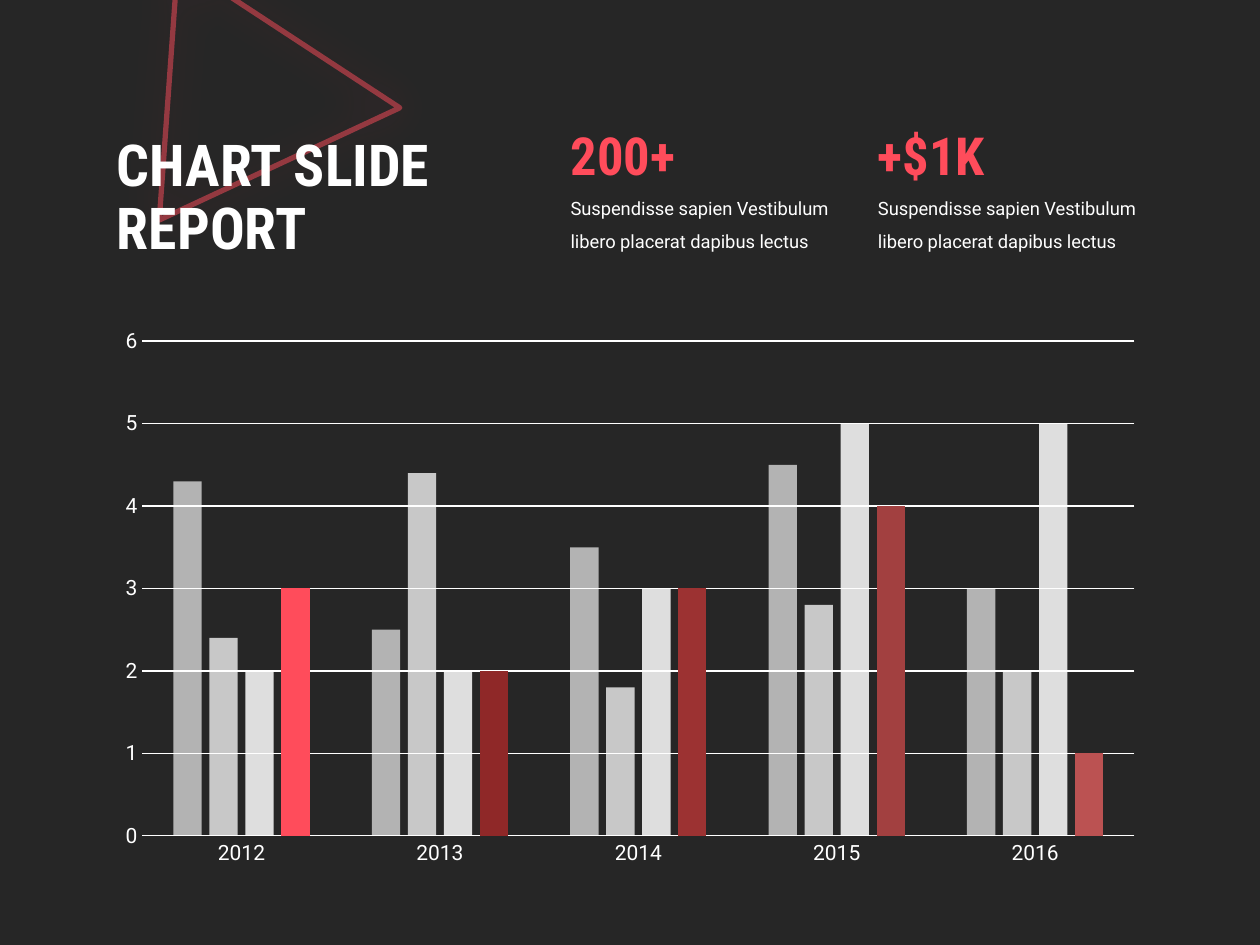
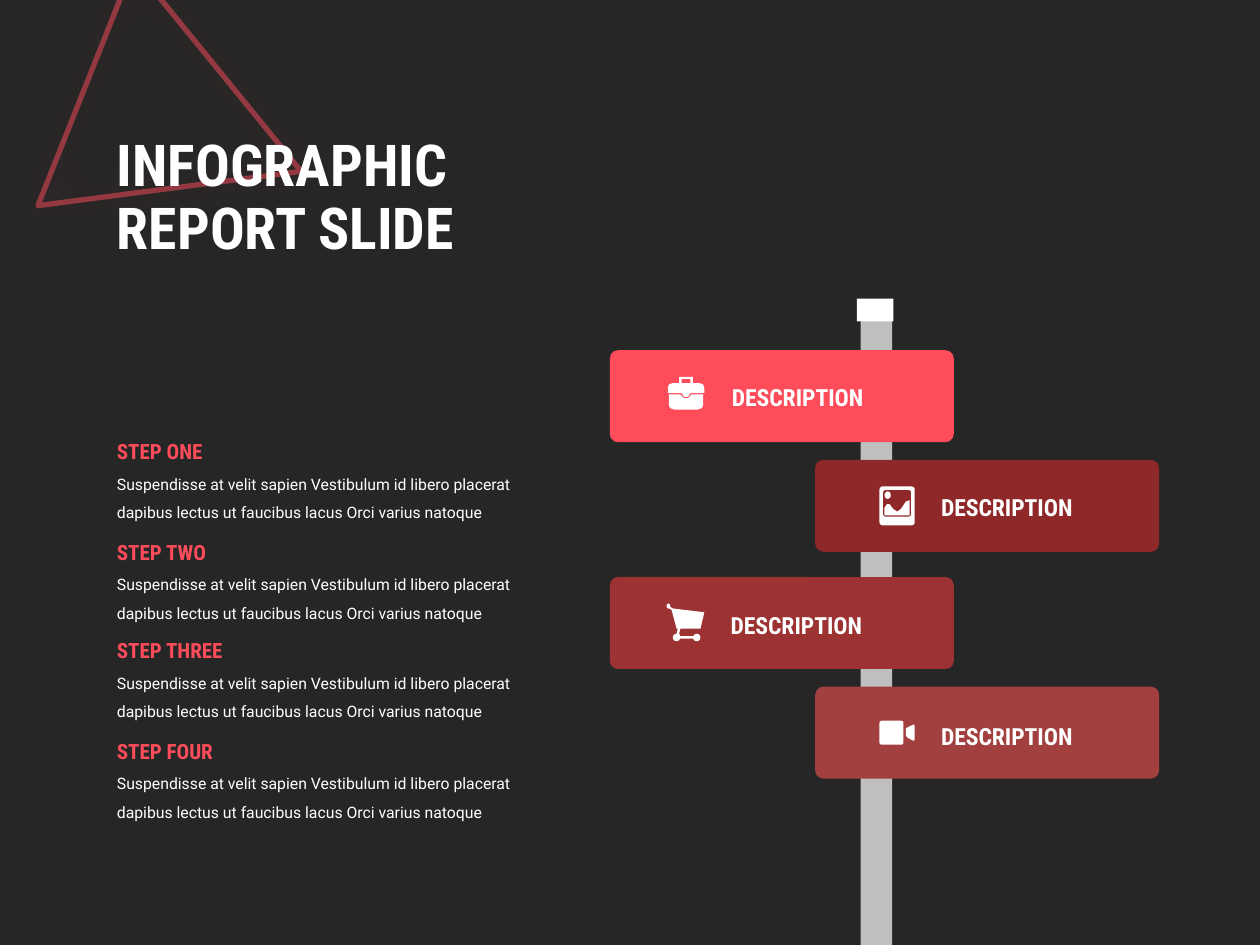
from dataclasses import dataclass
from typing import Any

import lxml.etree
import pptx
import pptx.chart.data
import pptx.dml.color
import pptx.enum.chart
import pptx.enum.shapes
import pptx.enum.text
import pptx.oxml.ns
import pptx.util

Inches = pptx.util.Inches
Pt = pptx.util.Pt
qn = pptx.oxml.ns.qn
Preset = pptx.enum.shapes.MSO_SHAPE


@dataclass(frozen=True)
class Theme:
    background: str = "262626"
    white: str = "FFFFFF"
    accent: str = "FF4C5B"
    post: str = "BFBFBF"
    reds: tuple[str, ...] = ("8F2828", "9C3232", "A24040", "BB5252")
    heading_font: str = "Roboto Condensed"
    body_font: str = "Roboto"
    title_size: float = 33
    figure_size: float = 30
    sign_size: float = 13.5
    step_size: float = 12
    axis_size: float = 12
    figure_body_size: float = 10.5
    step_body_size: float = 9


THEME = Theme()


@dataclass(frozen=True)
class Box:
    left: float
    top: float
    width: float
    height: float

    def lengths(self) -> tuple[int, ...]:
        return tuple(Inches(value) for value in (self.left, self.top, self.width, self.height))


@dataclass(frozen=True)
class Figure:
    left: float
    value: str


@dataclass(frozen=True)
class Step:
    top: float
    heading: str


@dataclass(frozen=True)
class Part:
    preset: Any
    box: Box
    is_hole: bool = False


@dataclass(frozen=True)
class Outline:
    points: tuple[tuple[float, float], ...]


@dataclass(frozen=True)
class Sign:
    left: float
    top: float
    color: str
    label_left: float
    label_top: float
    icon: tuple[Part | Outline, ...]


BRIEFCASE = (
    Part(Preset.ROUNDED_RECTANGLE, Box(5.39, 2.99, 0.11, 0.08)),
    Part(Preset.ROUNDED_RECTANGLE, Box(5.41, 3.01, 0.07, 0.03), is_hole=True),
    Outline(((5.3, 3.08), (5.31, 3.05), (5.34, 3.04), (5.55, 3.04), (5.58, 3.05), (5.59, 3.08),
             (5.59, 3.12), (5.48, 3.12), (5.46, 3.15), (5.43, 3.15), (5.41, 3.12), (5.3, 3.12))),
    Outline(((5.31, 3.13), (5.4, 3.13), (5.43, 3.16), (5.46, 3.16), (5.49, 3.13), (5.58, 3.13),
             (5.58, 3.22), (5.57, 3.24), (5.54, 3.25), (5.35, 3.25), (5.32, 3.24), (5.31, 3.22))),
)
PHOTO = (
    Part(Preset.ROUNDED_RECTANGLE, Box(6.98, 3.86, 0.28, 0.31)),
    Part(Preset.ROUNDED_RECTANGLE, Box(7.01, 3.89, 0.22, 0.21), is_hole=True),
    Part(Preset.OVAL, Box(7.02, 3.9, 0.05, 0.06)),
    Outline(((7.22, 3.97), (7.19, 3.98), (7.15, 4.04), (7.12, 4.06), (7.09, 4.04),
             (7.06, 4), (7.04, 4), (7.02, 4.03), (7.02, 4.09), (7.22, 4.09))),
)
CART = (
    Outline(((5.31, 4.81), (5.34, 4.83), (5.59, 4.86), (5.56, 4.99), (5.4, 4.99),
             (5.39, 5.03), (5.4, 5.05), (5.5, 5.05), (5.5, 5.07), (5.4, 5.07),
             (5.37, 5.03), (5.38, 4.99), (5.37, 4.99), (5.33, 4.84), (5.31, 4.83))),
    Part(Preset.OVAL, Box(5.29, 4.79, 0.03, 0.04)),
    Part(Preset.OVAL, Box(5.34, 5.03, 0.06, 0.06)),
    Part(Preset.OVAL, Box(5.5, 5.03, 0.06, 0.06)),
)
CAMERA = (
    Part(Preset.ROUNDED_RECTANGLE, Box(6.98, 5.72, 0.19, 0.19)),
    Outline(((7.25, 5.75), (7.21, 5.77), (7.19, 5.78), (7.19, 5.84),
             (7.21, 5.86), (7.25, 5.88), (7.26, 5.87), (7.26, 5.76))),
)

FIGURES = (Figure(4.43, "200+"), Figure(6.87, "+$1K"))
FIGURE_BODY = "Suspendisse sapien Vestibulum libero placerat dapibus lectus"
STEPS = (Step(3.43, "STEP ONE"), Step(4.23, "STEP TWO"),
         Step(5.01, "STEP THREE"), Step(5.81, "STEP FOUR"))
STEP_BODY = ("Suspendisse at velit sapien Vestibulum id libero placerat "
             "dapibus lectus ut faucibus lacus Orci varius natoque")
SIGNS = (
    Sign(4.84, 2.78, THEME.accent, 5.71, 2.99, BRIEFCASE),
    Sign(6.47, 3.65, THEME.reds[0], 7.37, 3.86, PHOTO),
    Sign(4.84, 4.58, THEME.reds[1], 5.7, 4.8, CART),
    Sign(6.47, 5.45, THEME.reds[2], 7.37, 5.68, CAMERA),
)
YEARS = ("2012", "2013", "2014", "2015", "2016")
SERIES = (
    ("Series 1", (4.3, 2.5, 3.5, 4.5, 3), 65),
    ("Series 2", (2.4, 4.4, 1.8, 2.8, 2), 75),
    ("Series 3", (2, 2, 3, 5, 5), 85),
    ("Series 4", (3, 2, 3, 4, 1), 100),
)


def rgb(color: str) -> pptx.dml.color.RGBColor:
    return pptx.dml.color.RGBColor.from_string(color)


def paint(fill: Any, color: str) -> None:
    fill.solid()
    fill.fore_color.rgb = rgb(color)


def set_opacity(properties: Any, percent: int) -> None:
    for color in properties.iter(qn("a:srgbClr")):
        lxml.etree.SubElement(color, qn("a:alpha"), val=str(percent * 1000))


def add_text(slide: Any, text: str, box: Box, *, size: float, color: str = THEME.white,
             heading: bool = False, line_spacing: float = 1.0, middle: bool = False) -> None:
    frame = slide.shapes.add_textbox(*box.lengths()).text_frame
    frame.word_wrap = True
    if middle:
        frame.vertical_anchor = pptx.enum.text.MSO_ANCHOR.MIDDLE
    else:
        frame.auto_size = pptx.enum.text.MSO_AUTO_SIZE.SHAPE_TO_FIT_TEXT
    paragraph = frame.paragraphs[0]
    paragraph.text = text
    paragraph.line_spacing = line_spacing
    for run in paragraph.runs:
        run.font.name = THEME.heading_font if heading else THEME.body_font
        run.font.size = Pt(size)
        run.font.bold = heading
        run.font.color.rgb = rgb(color)


def finish(shape: Any, color: str) -> None:
    paint(shape.fill, color)
    shape.line.fill.background()
    shape.shadow.inherit = False


def add_block(shapes: Any, preset: Any, box: Box, color: str) -> None:
    shape = shapes.add_shape(preset, *box.lengths())
    finish(shape, color)
    if preset == Preset.ROUNDED_RECTANGLE:
        shape.adjustments[0] = 0.09


def add_icon(slide: Any, sign: Sign) -> None:
    shapes = slide.shapes.add_group_shape().shapes
    for part in sign.icon:
        if isinstance(part, Part):
            add_block(shapes, part.preset, part.box, sign.color if part.is_hole else THEME.white)
            continue
        points = [(Inches(x), Inches(y)) for x, y in part.points]
        builder = shapes.build_freeform(*points[0])
        builder.add_line_segments(points[1:], close=True)
        finish(builder.convert_to_shape(), THEME.white)


def add_triangle(slide: Any, box: Box, rotation: float) -> None:
    shape = slide.shapes.add_shape(Preset.ISOSCELES_TRIANGLE, *box.lengths())
    shape.rotation = rotation
    shape.fill.background()
    shape.line.color.rgb = rgb(THEME.accent)
    shape.line.width = Pt(3)
    properties = shape.element.spPr
    set_opacity(properties, 50)
    shape.shadow.inherit = False
    glow = lxml.etree.SubElement(properties.find(qn("a:effectLst")), qn("a:outerShdw"),
                                 blurRad=str(Pt(25)), dist="0", dir="0", algn="ctr", rotWithShape="0")
    lxml.etree.SubElement(glow, qn("a:srgbClr"), val=THEME.accent)
    set_opacity(glow, 35)


def start_slide(presentation: Any, title: str, triangle: Box, rotation: float) -> Any:
    slide = presentation.slides.add_slide(presentation.slide_layouts[6])
    paint(slide.background.fill, THEME.background)
    add_triangle(slide, triangle, rotation)
    add_text(slide, title, Box(0.83, 0.79, 4.22, 1.58), size=THEME.title_size,
             heading=True, line_spacing=0.9, middle=True)
    return slide


def style_font(font: Any) -> None:
    font.name = THEME.body_font
    font.size = Pt(THEME.axis_size)
    font.color.rgb = rgb(THEME.white)


def style_line(line: Any) -> None:
    line.color.rgb = rgb(THEME.white)
    line.width = Pt(0.75)


def add_year_chart(slide: Any, box: Box) -> None:
    data = pptx.chart.data.CategoryChartData()
    data.categories = YEARS
    for name, values, _ in SERIES:
        data.add_series(name, values)
    chart_type = pptx.enum.chart.XL_CHART_TYPE.COLUMN_CLUSTERED
    chart = slide.shapes.add_chart(chart_type, *box.lengths(), data).chart
    chart.has_title = False
    chart.has_legend = False
    style_font(chart.font)
    for axis in (chart.category_axis, chart.value_axis):
        axis.major_tick_mark = pptx.enum.chart.XL_TICK_MARK.NONE
        axis.minor_tick_mark = pptx.enum.chart.XL_TICK_MARK.NONE
        style_font(axis.tick_labels.font)
    style_line(chart.category_axis.format.line)
    value_axis = chart.value_axis
    value_axis.minimum_scale = 0
    value_axis.maximum_scale = 6
    value_axis.major_unit = 1
    value_axis.format.line.fill.background()
    style_line(value_axis.major_gridlines.format.line)

    plot = chart.plots[0]
    plot.gap_width = 219
    plot.overlap = -27
    plot.vary_by_categories = False
    for series, (_, _, opacity) in zip(plot.series, SERIES):
        series.invert_if_negative = False
        paint(series.format.fill, THEME.white if opacity < 100 else THEME.accent)
        if opacity < 100:
            set_opacity(series._element.find(qn("c:spPr")), opacity)
    for index, color in enumerate(THEME.reds, start=1):
        paint(plot.series[-1].points[index].format.fill, color)


def build_chart_slide(presentation: Any) -> None:
    slide = start_slide(presentation, "CHART SLIDE\vREPORT", Box(1.23, -0.13, 2.05, 1.84), 94.1)
    add_year_chart(slide, Box(0.83, 2.52, 8.34, 4.44))
    for figure in FIGURES:
        add_text(slide, FIGURE_BODY, Box(figure.left, 1.43, 2.47, 0.6),
                 size=THEME.figure_body_size, line_spacing=1.5)
        add_text(slide, figure.value, Box(figure.left, 0.93, 1.34, 0.61),
                 size=THEME.figure_size, color=THEME.accent, heading=True)


def build_infographic_slide(presentation: Any) -> None:
    slide = start_slide(presentation, "INFOGRAPHIC\vREPORT SLIDE", Box(0.51, 0.1, 2.05, 1.84), 111.7)
    add_block(slide.shapes, Preset.RECTANGLE, Box(6.83, 2.48, 0.25, 5.02), THEME.post)
    add_block(slide.shapes, Preset.RECTANGLE, Box(6.8, 2.37, 0.29, 0.18), THEME.white)
    for sign in SIGNS:
        add_block(slide.shapes, Preset.ROUNDED_RECTANGLE, Box(sign.left, sign.top, 2.73, 0.73), sign.color)
        add_icon(slide, sign)
        add_text(slide, "DESCRIPTION", Box(sign.label_left, sign.label_top, 1.41, 0.33),
                 size=THEME.sign_size, heading=True)
    for step in STEPS:
        add_text(slide, STEP_BODY, Box(0.83, step.top + 0.21, 3.37, 0.53),
                 size=THEME.step_body_size, line_spacing=1.5)
        add_text(slide, step.heading, Box(0.83, step.top, 1.84, 0.3),
                 size=THEME.step_size, color=THEME.accent, heading=True)


def main() -> None:
    presentation = pptx.Presentation()
    presentation.slide_width = Inches(10)
    presentation.slide_height = Inches(7.5)
    build_chart_slide(presentation)
    build_infographic_slide(presentation)
    presentation.save("out.pptx")


if __name__ == "__main__":
    main()
